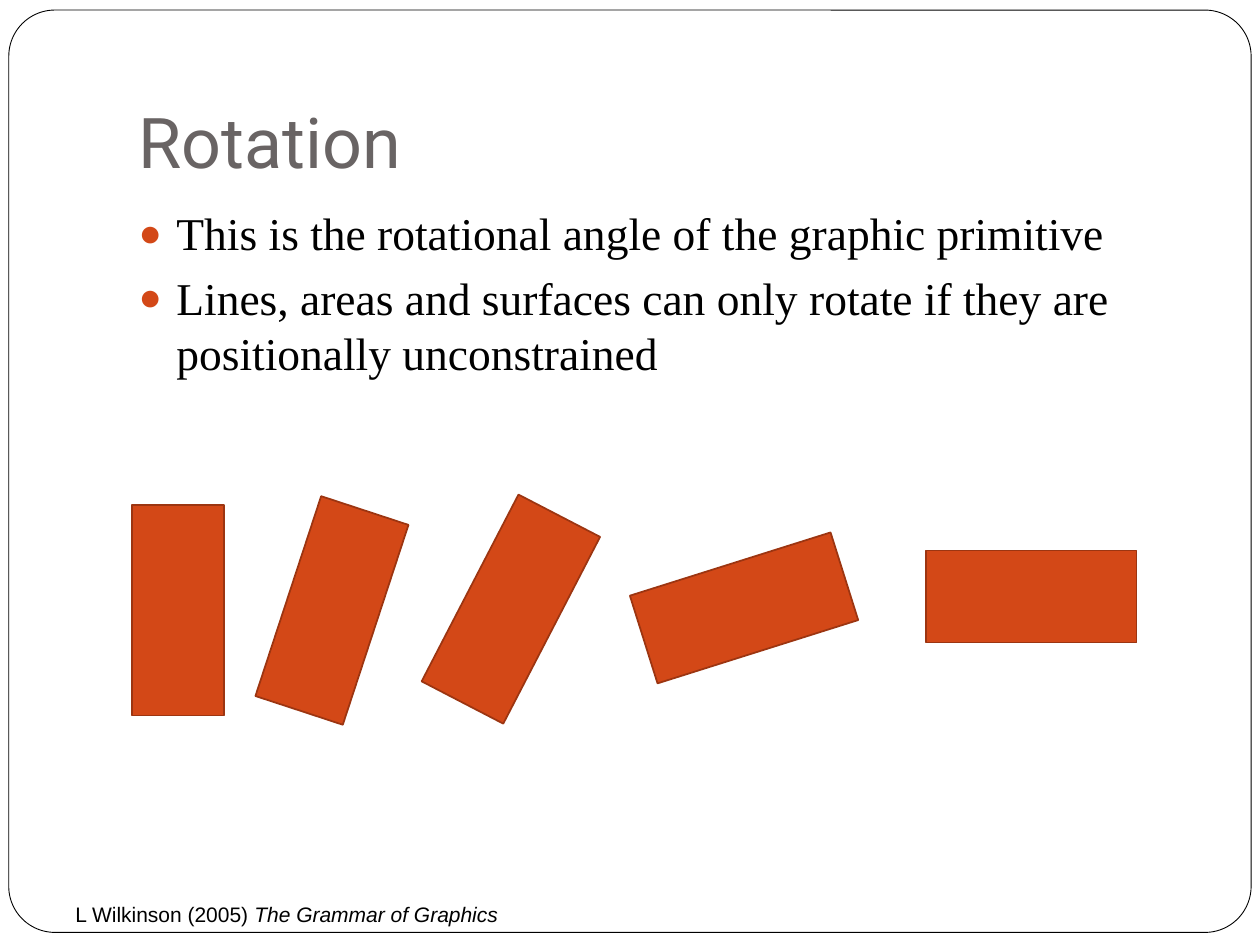
"""Build the Rotation slide with its row of turned bars."""
from lxml import etree
from pptx import Presentation
from pptx.dml.color import RGBColor
from pptx.enum.shapes import MSO_SHAPE
from pptx.enum.text import MSO_ANCHOR, MSO_AUTO_SIZE, PP_ALIGN
from pptx.oxml.ns import qn
from pptx.util import Inches, Pt

RECT, ROUND = MSO_SHAPE.RECTANGLE, MSO_SHAPE.ROUNDED_RECTANGLE
TOP, BOTTOM = MSO_ANCHOR.TOP, MSO_ANCHOR.BOTTOM
LEFT, FIXED = PP_ALIGN.LEFT, MSO_AUTO_SIZE.NONE

TITLE = "Rotation"
POINTS = [
    "This is the rotational angle of the graphic primitive",
    "Lines, areas and surfaces can only rotate if they are positionally unconstrained",
]
SOURCE = [("L Wilkinson (2005) ", False), ("The Grammar of Graphics", True)]
BARS = [(1.05, 4.01, 0), (2.27, 4.01, 18.2), (3.69, 4, 27.4),
        (5.54, 3.99, 72.5), (7.82, 3.9, 90)]
BAR = (0.73, 1.67)
THEME = {
    "white": "FFFFFF", "black": "000000", "fill": "D34817", "edge": "9C3511",
    "title": {"name": "Roboto", "size": Pt(40), "color": "696464"},
    "body": {"name": "Times New Roman", "size": Pt(26), "color": "000000"},
    "note": {"name": "Arial", "size": Pt(12), "color": "000000"},
}


def put(item, values):
    for key, value in values.items():
        setattr(item, key, value)


def place(shape, *box):
    put(shape, dict(zip(("left", "top", "width", "height"), map(Inches, box))))


def style(run, look, **more):
    values = {**look, **more}
    run.font.color.rgb = RGBColor.from_string(values.pop("color"))
    put(run.font, values)


def draw(slide, kind, box, fill, edge, width):
    shape = slide.shapes.add_shape(kind, *map(Inches, box))
    shape.shadow.inherit = False
    shape.fill.solid()
    shape.fill.fore_color.rgb = RGBColor.from_string(fill)
    shape.line.color.rgb = RGBColor.from_string(edge)
    shape.line.width = Pt(width)
    return shape


def bullet(par):
    props = par._p.get_or_add_pPr()
    put(par, {"alignment": LEFT, "space_before": Pt(5.8)})
    props.set("marL", str(Inches(0.3)))
    props.set("indent", str(Inches(-0.3)))
    color = etree.SubElement(props, qn("a:buClr"))
    etree.SubElement(color, qn("a:srgbClr"), val=THEME["fill"])
    etree.SubElement(props, qn("a:buSzPct"), val="85000")
    etree.SubElement(props, qn("a:buFont"), typeface="Arial")
    etree.SubElement(props, qn("a:buChar"), char="●")


def main():
    deck = Presentation()
    put(deck, {"slide_width": Inches(10), "slide_height": Inches(7.5)})
    slide = deck.slides.add_slide(deck.slide_layouts[1])

    frame = draw(slide, ROUND, (0.07, 0.08, 9.86, 7.32),
                 THEME["white"], THEME["black"], 0.5)
    frame.adjustments[0] = 0.05
    slide.shapes._spTree.insert(2, frame._element)

    title, body = slide.placeholders
    place(title, 1, 0.3, 8.5, 1.25)
    put(title.text_frame, {"text": TITLE, "vertical_anchor": BOTTOM,
                           "auto_size": FIXED, "margin_bottom": Inches(0.1)})
    par = title.text_frame.paragraphs[0]
    par.alignment = LEFT
    style(par.runs[0], THEME["title"])

    place(body, 1, 1.58, 8.5, 5)
    put(body.text_frame, {"text": "\n".join(POINTS), "vertical_anchor": TOP,
                          "auto_size": FIXED})
    for par in body.text_frame.paragraphs:
        bullet(par)
        style(par.runs[0], THEME["body"])

    for left, top, angle in BARS:
        bar = draw(slide, RECT, (left, top, *BAR), THEME["fill"], THEME["edge"], 1)
        bar.rotation = angle

    note = slide.shapes.add_textbox(*map(Inches, (0.5, 7.11, 8.79, 0.3)))
    note.text_frame.word_wrap = True
    for text, slant in SOURCE:
        run = note.text_frame.paragraphs[0].add_run()
        run.text = text
        style(run, THEME["note"], italic=slant)

    deck.save("out.pptx")


if __name__ == "__main__":
    main()
